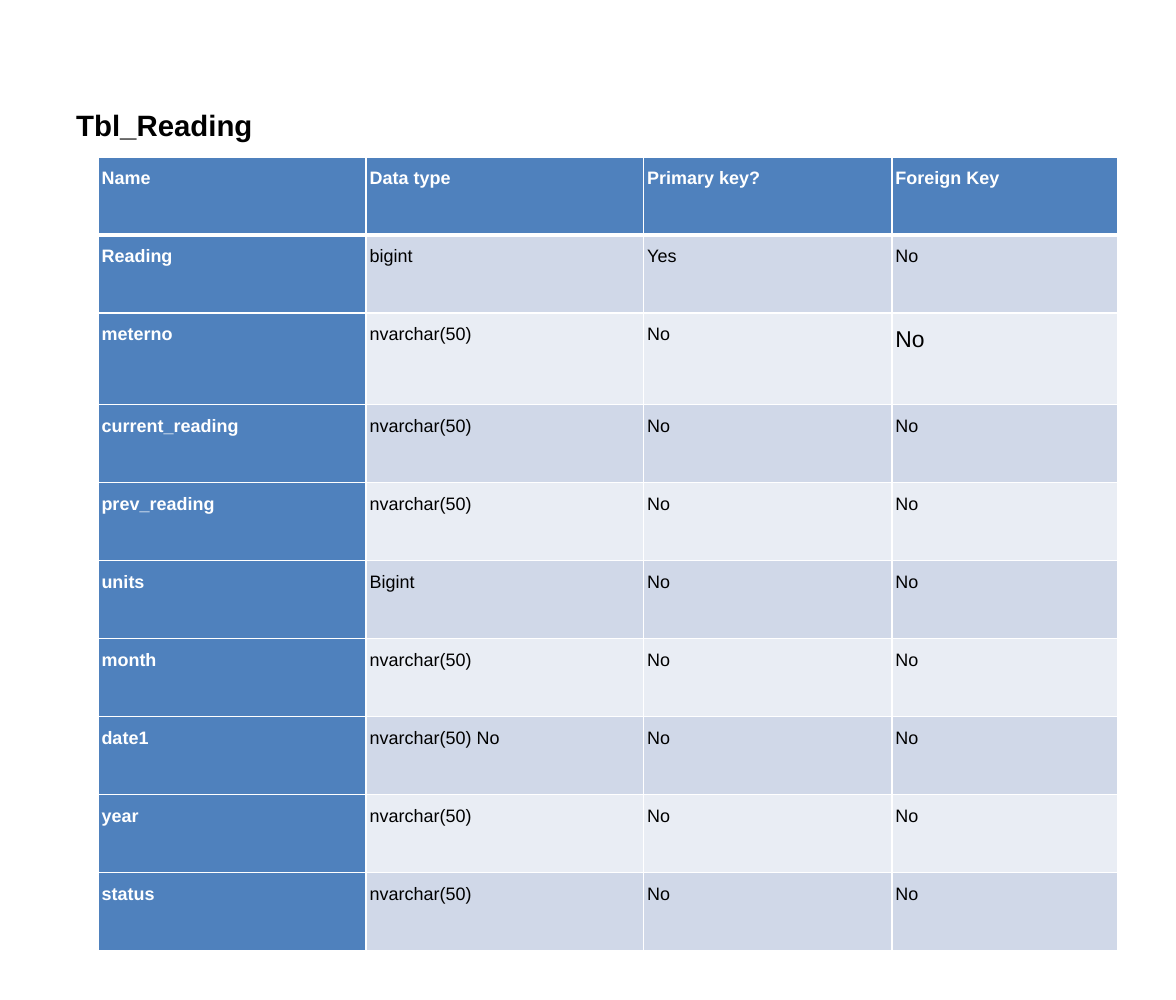
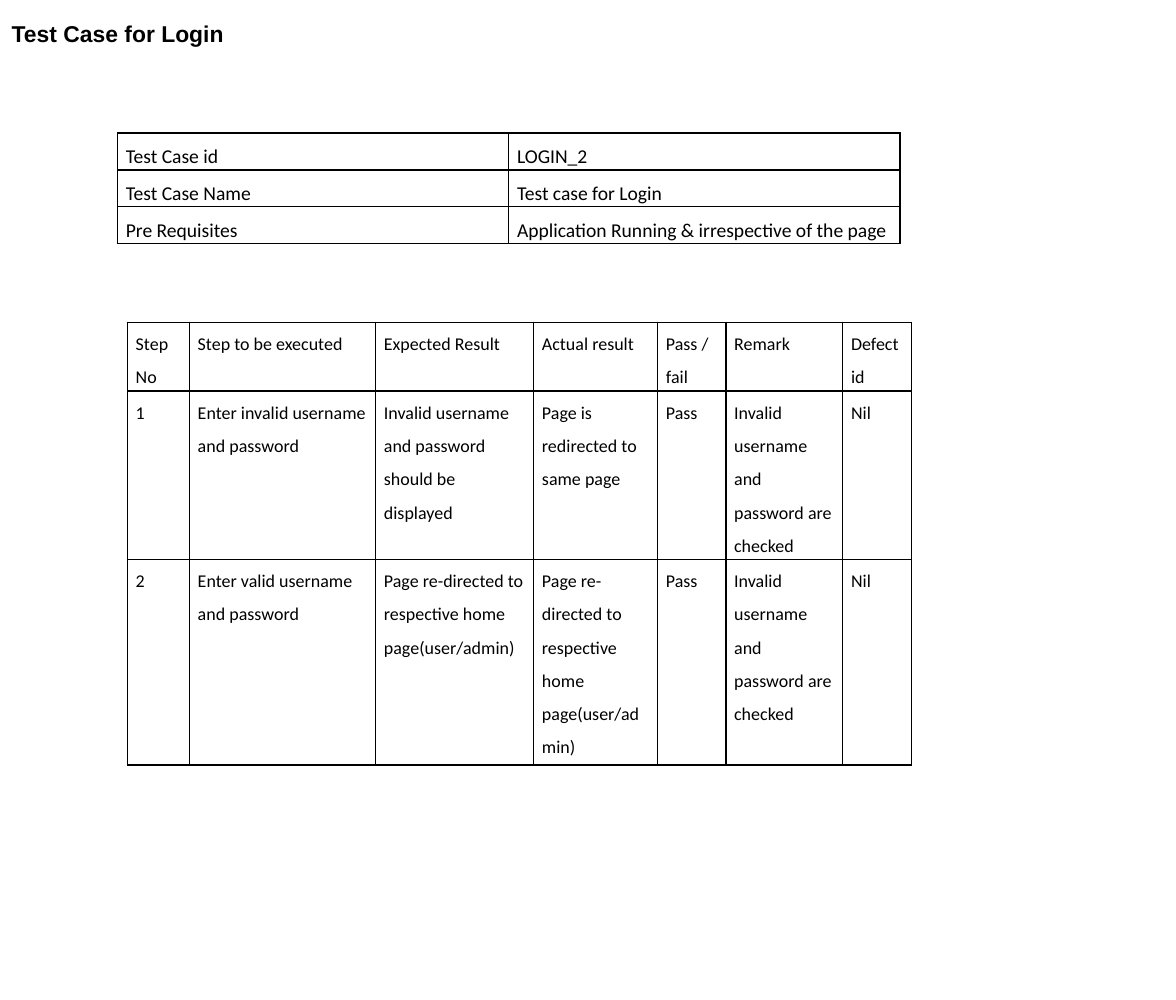
from lxml import etree
from pptx import Presentation
from pptx.dml.color import RGBColor
from pptx.enum import text
from pptx.oxml import ns
from pptx.util import Pt

# Content
READING_TITLE = "Tbl_Reading"
READING_HEAD = ("Name", "Data type", "Primary key?", "Foreign Key")
READING_FIELDS = [
    ("Reading", "bigint", "Yes", "No"),
    ("meterno", "nvarchar(50)", "No", "No"),
    ("current_reading", "nvarchar(50)", "No", "No"),
    ("prev_reading", "nvarchar(50)", "No", "No"),
    ("units", "Bigint", "No", "No"),
    ("month", "nvarchar(50)", "No", "No"),
    ("date1", "nvarchar(50) No", "No", "No"),
    ("year", "nvarchar(50)", "No", "No"),
    ("status", "nvarchar(50)", "No", "No"),
]
LOGIN_TITLE = "Test Case for Login"
LOGIN_CASE = [
    ("Test Case id", "LOGIN_2"),
    ("Test Case Name", "Test case for Login"),
    ("Pre Requisites", "Application Running & irrespective of the page"),
]
HOME = "Page re-directed to respective home page(user/admin)"
CHECKED = "Invalid username and password are checked"
LOGIN_STEPS = [
    ("Step No", "Step to be executed", "Expected Result", "Actual result",
     "Pass / fail", "Remark", "Defect id"),
    ("1", "Enter invalid username and password",
     "Invalid username and password should be displayed",
     "Page is redirected to same page", "Pass", CHECKED, "Nil"),
    ("2", "Enter valid username and password", HOME, HOME, "Pass", CHECKED, "Nil"),
]

# Shared look
BLACK = RGBColor(0x00, 0x00, 0x00)
WHITE = RGBColor(0xFF, 0xFF, 0xFF)
BLUE = RGBColor(0x4F, 0x81, 0xBD)
BANDS = (RGBColor(0xD0, 0xD8, 0xE8), RGBColor(0xE9, 0xED, 0xF4))
HEADING_FONT, BODY_FONT = "Arial", "Calibri"


def write(tf, words, size, font=HEADING_FONT, color=BLACK, bold=False,
          spacing=1.0, indent=0):
    p = tf.paragraphs[0]
    p.line_spacing = spacing
    if indent:
        pPr = p._p.get_or_add_pPr()
        pPr.set("marL", str(Pt(indent)))
        pPr.set("indent", "0")
    r = p.add_run()
    r.text = words
    r.font.size, r.font.name, r.font.bold = Pt(size), font, bold
    r.font.color.rgb = color


def add_title(slide, words, left, top, width, height, size):
    tf = slide.shapes.add_textbox(Pt(left), Pt(top), Pt(width), Pt(height)).text_frame
    tf.word_wrap = False
    tf.vertical_anchor = text.MSO_ANCHOR.TOP
    write(tf, words, size, bold=True)


def set_borders(cell, color, top=1, bottom=1):
    tcPr = cell._tc.get_or_add_tcPr()
    for side, width in (("L", 1), ("R", 1), ("T", top), ("B", bottom)):
        ln = etree.SubElement(tcPr, ns.qn(f"a:ln{side}"), w=str(Pt(width)))
        fill = etree.SubElement(ln, ns.qn("a:solidFill"))
        etree.SubElement(fill, ns.qn("a:srgbClr"), val=str(color))


def add_grid(slide, left, top, widths, heights, inset):
    """Add an empty table and return it with its cell margins set."""
    table = slide.shapes.add_table(
        len(heights), len(widths), Pt(left), Pt(top),
        Pt(sum(widths)), Pt(sum(heights))).table
    for column, width in zip(table.columns, widths):
        column.width = Pt(width)
    for row, height in zip(table.rows, heights):
        row.height = Pt(height)
    for cell in table.iter_cells():
        cell.margin_left = cell.margin_right = Pt(inset[0])
        cell.margin_top = cell.margin_bottom = Pt(inset[1])
    return table


def add_field_table(slide, rows, left, top, widths, heights):
    table = add_grid(slide, left, top, widths, heights, inset=(0.72, 0.72))
    for i, row in enumerate(rows):
        for j, words in enumerate(row):
            cell = table.cell(i, j)
            key = i == 0 or j == 0
            set_borders(cell, WHITE, top=3 if i == 1 else 1, bottom=3 if i == 0 else 1)
            cell.fill.solid()
            cell.fill.fore_color.rgb = BLUE if key else BANDS[(i - 1) % 2]
            # The foreign key of meterno is set larger
            large = row[0] == "meterno" and j == 3
            write(cell.text_frame, words, 14 if large else 11, bold=key,
                  color=WHITE if key else BLACK, spacing=1.5, indent=1.44)


def add_plain_table(slide, rows, left, top, widths, heights, size):
    table = add_grid(slide, left, top, widths, heights, inset=(5.1, 0))
    for i, row in enumerate(rows):
        for j, words in enumerate(row):
            cell = table.cell(i, j)
            set_borders(cell, BLACK)
            cell.fill.background()
            write(cell.text_frame, words, size, font=BODY_FONT, spacing=1.5)


def main():
    prs = Presentation()
    prs.slide_width, prs.slide_height = Pt(720), Pt(612)
    blank = prs.slide_layouts[6]

    # Reading table
    s = prs.slides.add_slide(blank)
    add_title(s, READING_TITLE, 39.6, 62, 124, 51, size=18)
    heights = [47.75] * (len(READING_FIELDS) + 1)
    heights[2] = 56.25
    add_field_table(s, [READING_HEAD] + READING_FIELDS, 60, 96,
                    (164.2, 169.9, 152, 138.2), heights)

    # Login test case
    s = prs.slides.add_slide(blank)
    add_title(s, LOGIN_TITLE, 0, 8.6, 145, 24.2, size=14)
    add_plain_table(s, LOGIN_CASE, 72, 81.5, [239.5] * 2, [22.5] * 3, size=12)
    add_plain_table(s, LOGIN_STEPS, 78, 197.3,
                    (38, 114, 96.8, 75.9, 41.8, 71.6, 42), (42, 103, 126), size=11)

    prs.save("out.pptx")


if __name__ == "__main__":
    main()
